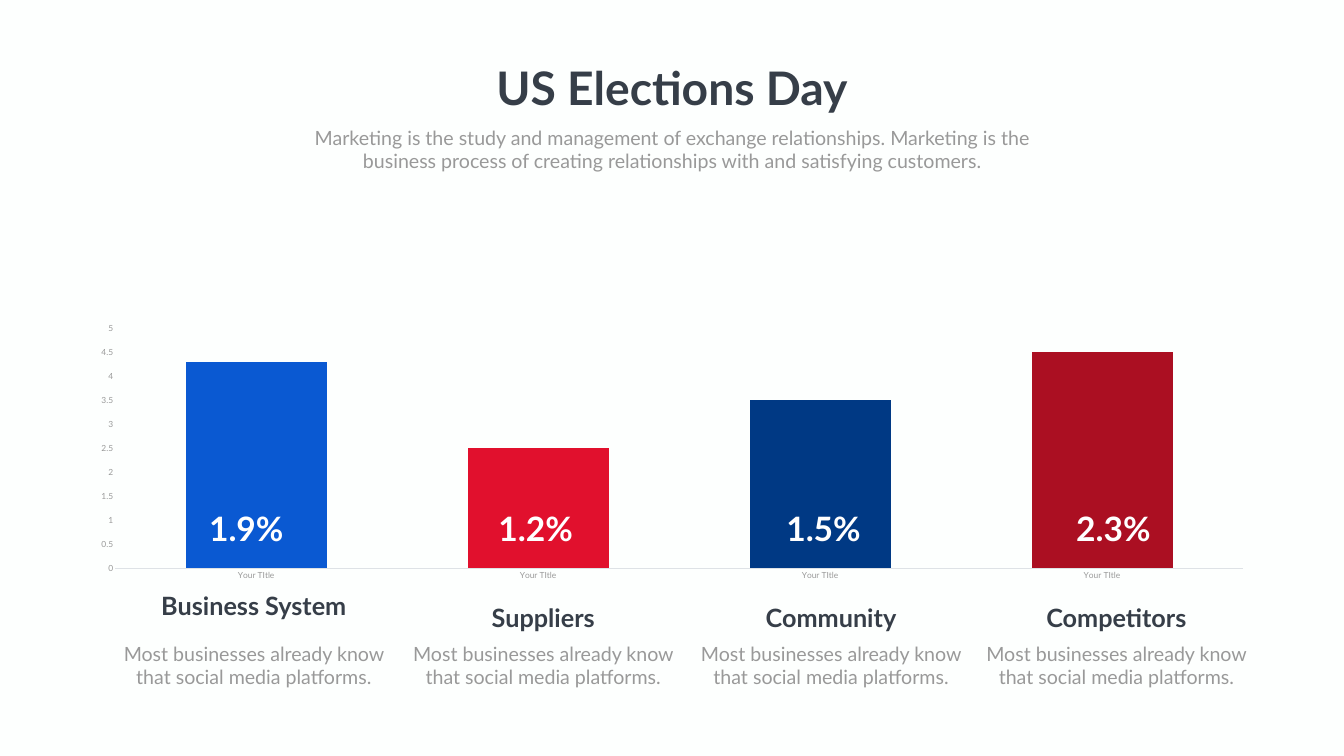
import pptx
import pptx.chart.data
import pptx.dml.color
import pptx.enum.chart
import pptx.enum.text
import pptx.oxml
import pptx.oxml.ns
import pptx.util

Inches = pptx.util.Inches
Pt = pptx.util.Pt
RGBColor = pptx.dml.color.RGBColor

PAPER = RGBColor(0xFD, 0xFF, 0xFE)
INK = RGBColor(0x36, 0x3E, 0x48)
GRAY = RGBColor(0x99, 0x99, 0x99)
RULE = RGBColor(0xDE, 0xE2, 0xE6)
WHITE = RGBColor(0xFF, 0xFF, 0xFF)
BLUE = RGBColor(0x0A, 0x59, 0xD2)
RED = RGBColor(0xE1, 0x10, 0x2D)
NAVY = RGBColor(0x00, 0x39, 0x84)
CRIMSON = RGBColor(0xAB, 0x0F, 0x22)

DESCRIPTION = "Most businesses already know that social media platforms."

# Name, name top, share, share left, column left, bar value, bar colour
COLUMNS = [
    ("Business System", 11.66, "1.9%", 3.49, 2.27, 4.3, BLUE),
    ("Suppliers", 11.9, "1.2%", 9.23, 8.01, 2.5, RED),
    ("Community", 11.9, "1.5%", 14.94, 13.72, 3.5, NAVY),
    ("Competitors", 11.9, "2.3%", 20.69, 19.38, 4.5, CRIMSON),
]


def write_text(frame, text, size=28, color=GRAY, bold=False, font="Lato"):
    para = frame.paragraphs[0]
    para.alignment = pptx.enum.text.PP_ALIGN.CENTER
    span = para.add_run()
    span.text = text
    span.font.name = font
    span.font.size = Pt(size)
    span.font.bold = bold
    span.font.color.rgb = color


class SlideBuilder:
    font = "Lato"

    def __init__(self, page):
        self.page = page
        page.background.fill.solid()
        page.background.fill.fore_color.rgb = PAPER

    def text(self, left, top, width, height, text, wrap=True, **style):
        box = self.page.shapes.add_textbox(
            Inches(left), Inches(top), Inches(width), Inches(height))
        box.text_frame.word_wrap = wrap
        box.text_frame.auto_size = pptx.enum.text.MSO_AUTO_SIZE.SHAPE_TO_FIT_TEXT
        write_text(box.text_frame, text, font=self.font, **style)

    def style_font(self, font, size):
        font.name = self.font
        font.size = Pt(size)
        font.color.rgb = GRAY

    def column_chart(self, left, top, width, height, labels, values, colors):
        data = pptx.chart.data.CategoryChartData()
        data.categories = labels
        data.add_series("Series 1", values)
        chart = self.page.shapes.add_chart(
            pptx.enum.chart.XL_CHART_TYPE.COLUMN_CLUSTERED,
            Inches(left), Inches(top), Inches(width), Inches(height), data).chart
        chart.has_legend = False
        chart.has_title = False
        self.style_font(chart.font, 10)

        # Bars
        plot = chart.plots[0]
        plot.gap_width = 100
        plot.overlap = -24
        plot.vary_by_categories = False
        series = plot.series[0]
        series.format.fill.solid()
        series.format.fill.fore_color.rgb = colors[0]
        for index, color in enumerate(colors[1:], 1):
            fill = series.points[index].format.fill
            fill.solid()
            fill.fore_color.rgb = color

        # Axes
        for axis in (chart.category_axis, chart.value_axis):
            axis.has_major_gridlines = False
            axis.major_tick_mark = pptx.enum.chart.XL_TICK_MARK.NONE
            axis.minor_tick_mark = pptx.enum.chart.XL_TICK_MARK.NONE
            self.style_font(axis.tick_labels.font, 12)
        chart.category_axis.format.line.color.rgb = RULE
        chart.category_axis.format.line.width = Pt(0.75)
        scale = chart.value_axis
        scale.format.line.fill.background()
        scale.minimum_scale, scale.maximum_scale, scale.major_unit = 0, 5, 0.5
        scale.tick_labels.number_format = "General"
        scale.tick_labels.number_format_is_linked = False
        self.place_plot(chart, x=0.032, y=0.04, w=0.948, h=0.898)

    def place_plot(self, chart, **fractions):
        area = chart.plots[0]._element.getparent() if hasattr(
            chart.plots[0], "_element") else chart._chartSpace.chart.plotArea
        for old in area.findall(pptx.oxml.ns.qn("c:layout")):
            area.remove(old)
        modes = '<c:xMode val="edge"/><c:yMode val="edge"/>'
        sizes = "".join(f'<c:{key} val="{part}"/>' for key, part in fractions.items())
        area.insert(0, pptx.oxml.parse_xml(
            f'<c:layout {pptx.oxml.ns.nsdecls("c")}><c:manualLayout>'
            f'<c:layoutTarget val="inner"/>{modes}{sizes}'
            '</c:manualLayout></c:layout>'))


def main():
    deck = pptx.Presentation()
    deck.slide_width = Inches(26.66)
    deck.slide_height = Inches(15)
    builder = SlideBuilder(deck.slides.add_slide(deck.slide_layouts[6]))

    # Heading
    builder.text(9.69, 1.12, 7.28, 1.21, "US Elections Day",
                 wrap=False, size=66, color=INK, bold=True)
    builder.text(5.47, 2.44, 15.72, 1.04,
                 "Marketing is the study and management of exchange relationships. "
                 "Marketing is the business process of creating relationships with "
                 "and satisfying customers.")

    # Chart
    builder.column_chart(1.53, 6.3, 23.6, 5.3, ["Your TItle"] * len(COLUMNS),
                         [column[5] for column in COLUMNS],
                         [column[6] for column in COLUMNS])

    # Captions below and shares on the bars
    for name, name_top, share, share_left, left, _, _ in COLUMNS:
        builder.text(left + 0.36, name_top, 4.81, 0.71, name,
                     size=36, color=INK, bold=True)
        builder.text(left, 12.68, 5.53, 1.04, DESCRIPTION)
        builder.text(share_left, 10.03, 2.79, 0.91, share,
                     size=48, color=WHITE, bold=True)

    deck.save("out.pptx")


if __name__ == "__main__":
    main()
